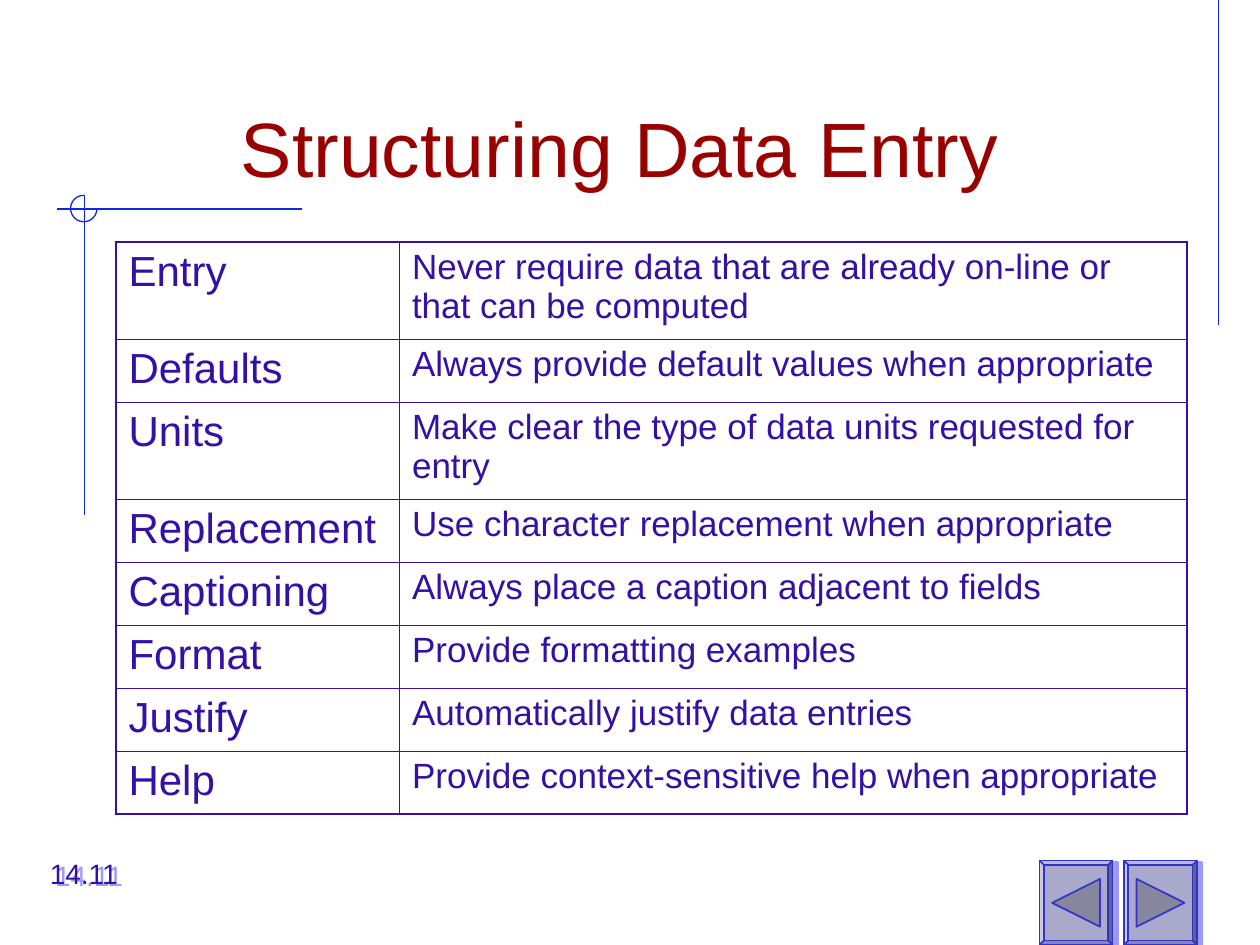
from dataclasses import dataclass

from lxml import etree
from pptx import Presentation
from pptx.dml.color import RGBColor
from pptx.enum.shapes import MSO_CONNECTOR, MSO_SHAPE
from pptx.enum.text import MSO_ANCHOR, MSO_AUTO_SIZE, PP_ALIGN
from pptx.oxml.ns import qn
from pptx.util import Inches, Pt

STRAIGHT = MSO_CONNECTOR.STRAIGHT
ARC, BEVEL, TRIANGLE = MSO_SHAPE.ARC, MSO_SHAPE.BEVEL, MSO_SHAPE.ISOSCELES_TRIANGLE
CENTER, LEFT = PP_ALIGN.CENTER, PP_ALIGN.LEFT


@dataclass(frozen=True)
class Theme:
    font: str = "Arial"
    title: str = "990000"
    ink: str = "3410A6"
    rule: str = "0D27E7"
    button: str = "A9A9CC"
    arrow: str = "86869C"
    button_line: str = "3333CC"
    shadow: str = "9999FF"
    title_size: float = 44
    term_size: float = 24
    advice_size: float = 20
    number_size: float = 16
    rule_width: float = 0.75
    button_width: float = 1
    outer_border: float = 1.08
    inner_border: float = 0.45


THEME = Theme()

GUIDELINES = [
    ("Entry", "Never require data that are already on-line or that can be computed", 0.77),
    ("Defaults", "Always provide default values when appropriate", 0.5),
    ("Units", "Make clear the type of data units requested for entry", 0.77),
    ("Replacement", "Use character replacement when appropriate", 0.5),
    ("Captioning", "Always place a caption adjacent to fields", 0.5),
    ("Format", "Provide formatting examples", 0.5),
    ("Justify", "Automatically justify data entries", 0.5),
    ("Help", "Provide context-sensitive help when appropriate", 0.5),
]
COLUMN_WIDTHS = (2.25, 6.25)


def rgb(value):
    return RGBColor.from_string(value)


def write(frame, text, size, color, align=LEFT, before=0):
    para = frame.paragraphs[0]
    for name, value in {"alignment": align, "space_before": Pt(before)}.items():
        setattr(para, name, value)
    span = para.add_run()
    span.text = text
    for name, value in {"name": THEME.font, "size": Pt(size)}.items():
        setattr(span.font, name, value)
    span.font.color.rgb = rgb(color)


def add_effects(shape, shadow=False):
    """Give the shape an effect list of its own, empty or with the offset shadow."""
    effects = etree.SubElement(shape._element.spPr, qn("a:effectLst"))
    if shadow:
        outer = etree.SubElement(effects, qn("a:outerShdw"), blurRad="0",
                                 dist=str(Pt(3.2)), dir=str(18 * 60000),
                                 algn="ctr", rotWithShape="0")
        etree.SubElement(outer, qn("a:srgbClr"), val=THEME.shadow)


def add_rule(page, x1, y1, x2, y2):
    rule = page.shapes.add_connector(STRAIGHT, *map(Inches, (x1, y1, x2, y2)))
    rule.line.color.rgb = rgb(THEME.rule)
    rule.line.width = Pt(THEME.rule_width)
    add_effects(rule)


def add_preset(page, kind, box, line, width, fill=None, shadow=False):
    shape = page.shapes.add_shape(kind, *map(Inches, box))
    if fill:
        shape.fill.solid()
        shape.fill.fore_color.rgb = rgb(fill)
    else:
        shape.fill.background()
    shape.line.color.rgb = rgb(line)
    shape.line.width = Pt(width)
    add_effects(shape, shadow)
    return shape


def add_ornament(page):
    """Draw the crossing rules with their three-quarter ring, and the right rule."""
    add_rule(page, 9.67, 0, 9.67, 2.58)
    add_rule(page, 2.4, 1.66, 0.45, 1.66)
    add_rule(page, 0.67, 1.55, 0.67, 4.09)
    ring = add_preset(page, ARC, (0.56, 1.55, 0.21, 0.21), THEME.rule, THEME.rule_width)
    for index, degrees in enumerate((0, 270)):
        ring.adjustments[index] = degrees * 60000 / 100000


def add_button(page, left, rotation):
    top, width, height = 6.83, 0.58, 0.67
    frame = add_preset(page, BEVEL, (left, top, width, height), THEME.button_line,
                       THEME.button_width, THEME.button, shadow=True)
    frame.adjustments[0] = 0.06
    side = 0.38
    box = (left + (width - side) / 2, top + (height - side) / 2, side, side)
    arrow = add_preset(page, TRIANGLE, box, THEME.button_line,
                       THEME.button_width, THEME.arrow)
    arrow.rotation = rotation


def add_title(page, text):
    title = page.shapes.title
    box = {"left": 0.67, "top": 0.33, "width": 8.5, "height": 1.25}
    for name, value in box.items():
        setattr(title, name, Inches(value))
    frame = title.text_frame
    settings = {"vertical_anchor": MSO_ANCHOR.BOTTOM, "word_wrap": True,
                "auto_size": MSO_AUTO_SIZE.NONE}
    for name, value in settings.items():
        setattr(frame, name, value)
    write(frame, text, THEME.title_size, THEME.title, CENTER)


def set_borders(cell, outer_sides):
    properties = cell._tc.get_or_add_tcPr()
    for index, side in enumerate("LRTB"):
        width = THEME.outer_border if side in outer_sides else THEME.inner_border
        border = etree.Element(qn(f"a:ln{side}"), w=str(Pt(width)))
        fill = etree.SubElement(border, qn("a:solidFill"))
        etree.SubElement(fill, qn("a:srgbClr"), val=THEME.ink)
        properties.insert(index, border)


def add_guidelines(page):
    heights = [row[2] for row in GUIDELINES]
    box = (0.92, 1.92, sum(COLUMN_WIDTHS), sum(heights))
    table = page.shapes.add_table(len(GUIDELINES), 2, *map(Inches, box)).table
    table.first_row = table.horz_banding = False
    for column, width in zip(table.columns, COLUMN_WIDTHS):
        column.width = Inches(width)
    styles = ((THEME.term_size, 6), (THEME.advice_size, 5))
    for r, (*texts, height) in enumerate(GUIDELINES):
        table.rows[r].height = Inches(height)
        vertical = {0: "T", len(GUIDELINES) - 1: "B"}.get(r, "")
        for c, (text, (size, before)) in enumerate(zip(texts, styles)):
            cell = table.cell(r, c)
            cell.fill.background()
            set_borders(cell, "LR"[c] + vertical)
            write(cell.text_frame, text, size, THEME.ink, before=before)


def add_page_number(page, text):
    box = page.shapes.add_textbox(*map(Inches, (0.25, 6.75, 0.83, 0.37)))
    box.text_frame.word_wrap = True
    write(box.text_frame, text, THEME.number_size, THEME.ink, CENTER, before=10)
    add_effects(box, shadow=True)


def main():
    deck = Presentation()
    deck.slide_width, deck.slide_height = Inches(10), Inches(7.5)
    page = deck.slides.add_slide(deck.slide_layouts[5])
    add_button(page, 8.25, 270)
    add_button(page, 8.92, 90)
    add_ornament(page)
    add_title(page, "Structuring Data Entry")
    add_guidelines(page)
    add_page_number(page, "14.11")
    deck.save("out.pptx")


if __name__ == "__main__":
    main()
